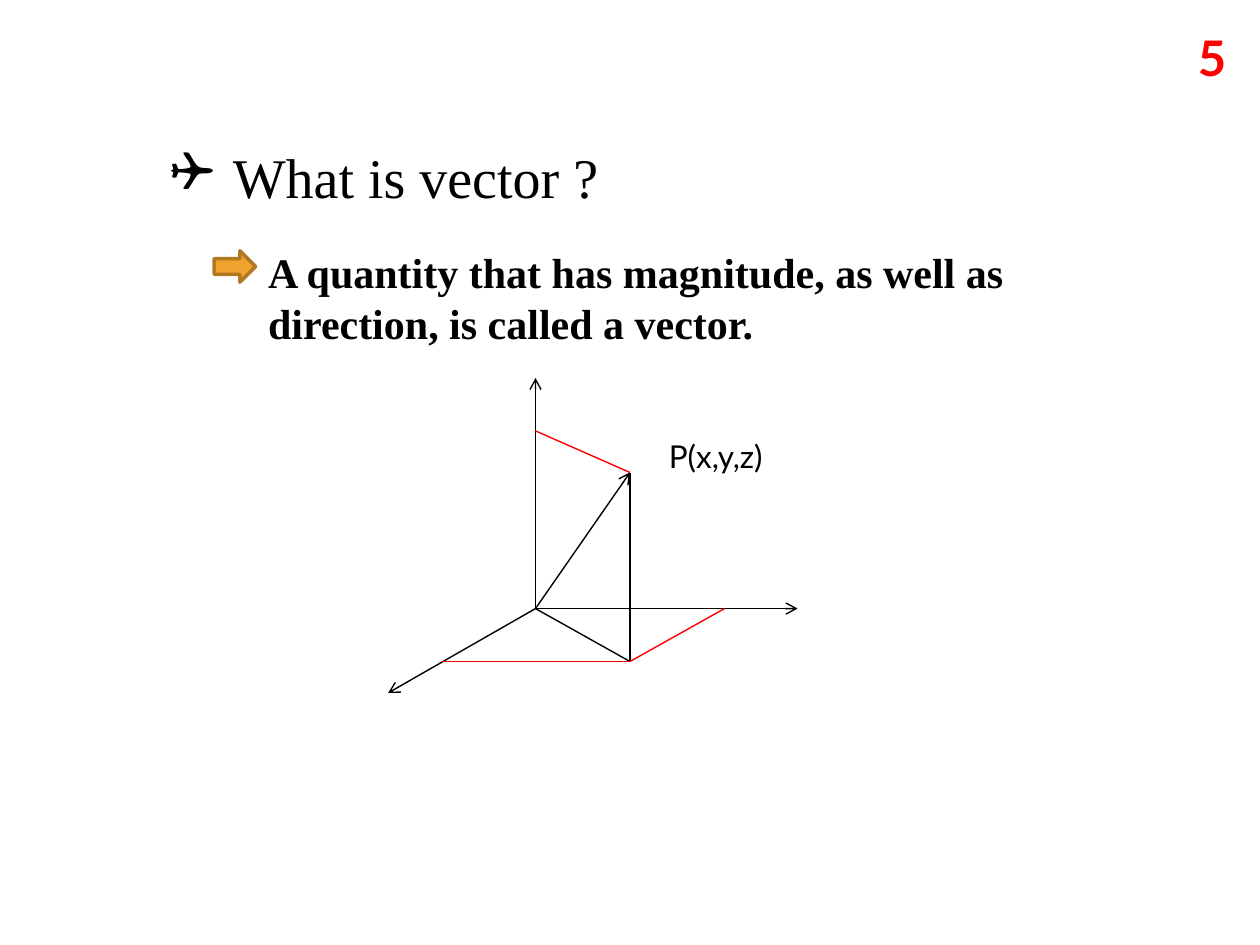
from pptx import Presentation
from pptx.dml.color import RGBColor
from pptx.enum.shapes import MSO_CONNECTOR as Conn, MSO_SHAPE as Shape
from pptx.enum.text import PP_ALIGN as Align
from pptx.oxml.ns import qn
from pptx.util import Inches, Pt
from lxml.etree import SubElement as Sub

BLACK, RED = "000000", "FF0000"
SERIF, SANS = "Times New Roman", "Lato"


def color(code):
    return RGBColor.from_string(code)


def label(box, words, size, face, code=BLACK, bold=False):
    frame = slide.shapes.add_textbox(*map(Inches, box)).text_frame
    frame.word_wrap = True
    para = frame.paragraphs[0]
    run = para.add_run()
    run.text = words
    font = run.font
    font.size, font.name, font.bold = Pt(size), face, bold
    font.color.rgb = color(code)
    return para


deck = Presentation()
deck.slide_width, deck.slide_height = Inches(10), Inches(7.5)
slide = deck.slides.add_slide(deck.slide_layouts[6])

# Heading with a box bullet
head = label((1.25, 1.08, 7.17, 0.64), "What is vector ?", 32, SERIF)
props = head._p.get_or_add_pPr()
props.set("marL", str(Inches(0.5)))
props.set("indent", str(Inches(-0.5)))
Sub(props, qn("a:buFont"), typeface="Wingdings")
Sub(props, qn("a:buChar"), char="❑")

# Definition and its pointer
label((2.03, 1.91, 6.75, 0.91),
      "A quantity that has magnitude, as well as direction, is called a vector.",
      24, SERIF, bold=True)
mark = slide.shapes.add_shape(
    Shape.RIGHT_ARROW, *map(Inches, (1.7, 1.99, 0.33, 0.25)))
mark.shadow.inherit = False
mark.fill.solid()
mark.fill.fore_color.rgb = color("F0A22E")
mark.line.color.rgb = color("B27822")
mark.line.width = Pt(2)

# Points of the diagram
zero = (4.25, 4.83)
tip = (5, 3.75)
foot = (5, 5.25)

# Axes, vector and projections: start, end, colour, arrowhead
lines = [
    (zero, (3.08, 5.5), BLACK, True),
    (zero, (4.25, 3), BLACK, True),
    (zero, (6.33, 4.83), BLACK, True),
    (zero, tip, BLACK, True),
    (tip, foot, BLACK, False),
    (foot, zero, BLACK, False),
    (tip, (4.25, 3.42), RED, False),
    (foot, (3.5, 5.25), RED, False),
    (foot, (5.75, 4.83), RED, False),
]
for start, end, code, arrow in lines:
    line = slide.shapes.add_connector(
        Conn.STRAIGHT, *map(Inches, start + end))
    line.line.color.rgb = color(code)
    line.line.width = Pt(0.79)
    if arrow:
        Sub(line.line._get_or_add_ln(), qn("a:tailEnd"), type="arrow")
    Sub(line._element.spPr, qn("a:effectLst"))

# Point name and page number
label((5.21, 3.42, 1.38, 0.4), "P(x,y,z)", 18, SANS)
page = label((9, 0.17, 0.83, 0.27), "5", 28, SANS, RED, True)
page.alignment = Align.RIGHT

deck.save("out.pptx")
